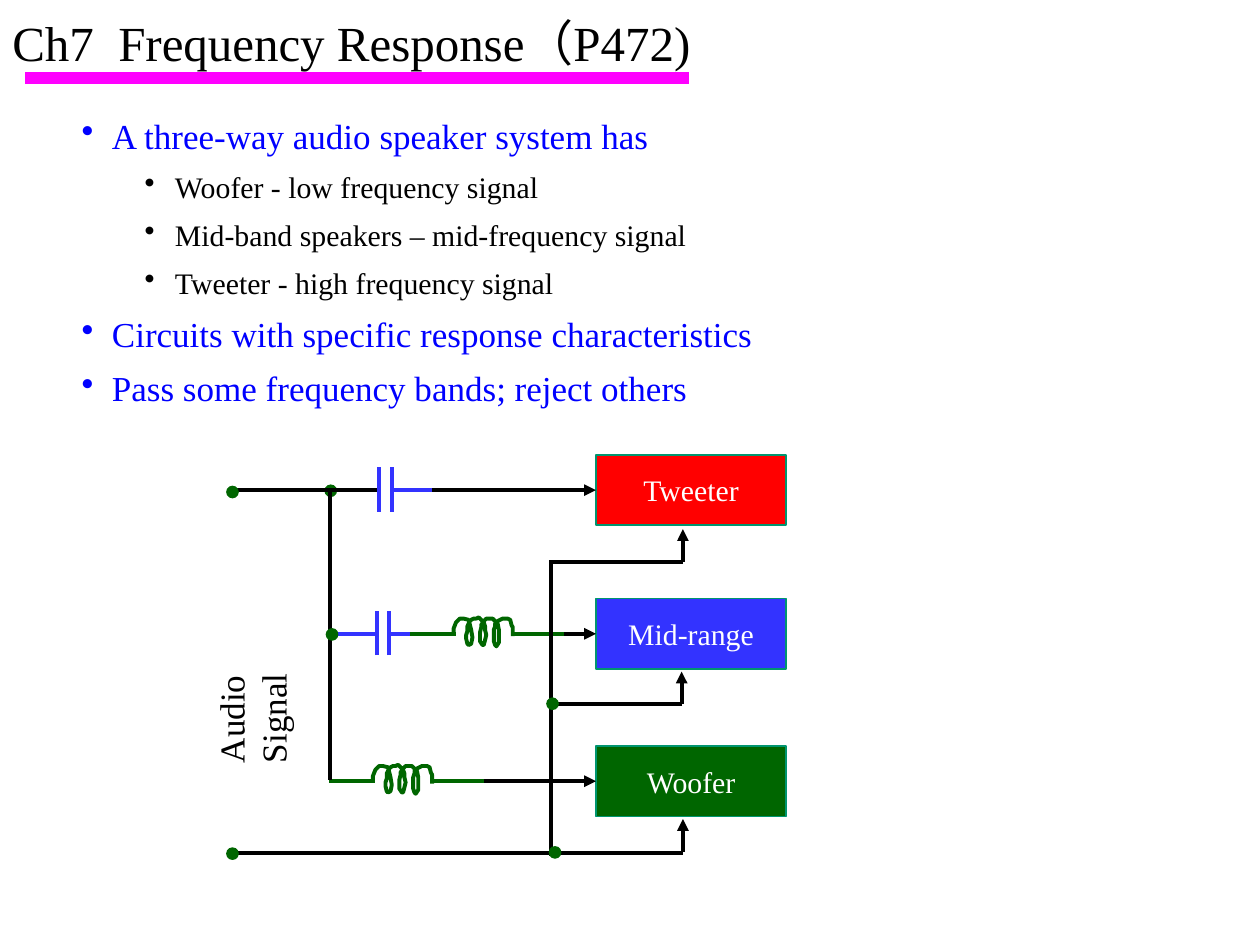
from typing import NamedTuple

from lxml.etree import SubElement
from pptx import Presentation
from pptx.dml.color import RGBColor
from pptx.enum.shapes import MSO_CONNECTOR, MSO_SHAPE
from pptx.enum.text import MSO_ANCHOR, PP_ALIGN
from pptx.oxml.ns import qn
from pptx.util import Emu, Pt

PX = 9144  # 100 px to the inch
FONT = "Times New Roman"
BLACK = RGBColor(0x00, 0x00, 0x00)
WHITE = RGBColor(0xFF, 0xFF, 0xFF)
MAGENTA = RGBColor(0xFF, 0x00, 0xFF)
TEXT_BLUE = RGBColor(0x00, 0x00, 0xFF)
BLUE = RGBColor(0x33, 0x33, 0xFF)
RED = RGBColor(0xFF, 0x00, 0x00)
GREEN = RGBColor(0x00, 0x66, 0x00)
TEAL = RGBColor(0x00, 0x95, 0x6F)

SPEAKER_LEFT, SPEAKER_WIDTH, SPEAKER_HEIGHT = 473, 151, 56
WIRE_WIDTH = 2.25
DOT = 9


class Bullet(NamedTuple):
    text: str
    level: int = 0


class Speaker(NamedTuple):
    name: str
    color: RGBColor
    row: int
    arrow_start: int


class Wire(NamedTuple):
    x1: int
    y1: int
    x2: int
    y2: int
    arrow: bool = False


BULLETS = [
    Bullet("A three-way audio speaker system has"),
    Bullet("Woofer - low frequency signal", 1),
    Bullet("Mid-band speakers – mid-frequency signal", 1),
    Bullet("Tweeter - high frequency signal", 1),
    Bullet("Circuits with specific response characteristics"),
    Bullet("Pass some frequency bands; reject others"),
]
TWEETER = Speaker("Tweeter", RED, 389, 343)
MID_RANGE = Speaker("Mid-range", BLUE, 503, 428)
WOOFER = Speaker("Woofer", GREEN, 620, 343)

WIRES = [
    Wire(262, 390, 262, 619),
    Wire(185, 389, 299, 389),
    Wire(437, 679, 437, 446),
    Wire(436, 446, 542, 446),
    Wire(542, 446, 542, 420, arrow=True),
    Wire(436, 559, 541, 559),
    Wire(541, 559, 541, 533, arrow=True),
    Wire(185, 677, 542, 677),
    Wire(542, 676, 542, 650, arrow=True),
]
DOTS = [(259, 499), (180, 386), (180, 673), (434, 554), (436, 672)]

# Coil outline, relative to its left end
COIL = [
    (0, 0), (0, -4), (2, -9), (5, -12), (8, -12), (12, -11), (13, -7), (14, -3),
    (15, 3), (14, 8), (12, 9), (11, 8), (10, 4), (10, 1), (11, -2), (11, -6),
    (12, -8), (13, -10), (14, -11), (16, -12), (18, -12), (20, -13), (22, -11),
    (24, -9), (25, -6), (25, -3), (26, 1), (25, 5), (24, 9), (23, 9), (21, 6),
    (21, 2), (21, -1), (22, -5), (22, -7), (24, -10), (26, -12), (28, -12),
    (31, -12), (33, -10), (35, -8), (36, -3), (36, 2), (36, 7), (34, 10),
    (33, 9), (32, 6), (32, 1), (32, -3), (33, -6), (33, -8), (35, -10),
    (37, -11), (39, -12), (42, -12), (43, -12), (45, -11), (46, -7), (47, -5),
    (47, -2), (47, 2),
]


def px(*lengths: int) -> list[Emu]:
    return [Emu(length * PX) for length in lengths]


def write_text(paragraph, text: str, *, size: float, color: RGBColor = BLACK,
               align: PP_ALIGN = PP_ALIGN.LEFT) -> None:
    paragraph.alignment = align
    run = paragraph.add_run()
    run.text = text
    run.font.name = FONT
    run.font.size = Pt(size)
    run.font.color.rgb = color


def add_text_frame(slide, x: int, y: int, width: int, height: int,
                   *, wrap: bool = True, rotation: int = 0):
    box = slide.shapes.add_textbox(*px(x, y, width, height))
    box.rotation = rotation
    box.text_frame.word_wrap = wrap
    return box.text_frame


def add_title(slide) -> None:
    frame = add_text_frame(slide, 0, 0, 591, 67)
    frame.vertical_anchor = MSO_ANCHOR.MIDDLE
    paragraph = frame.paragraphs[0]
    tabs = SubElement(paragraph._p.get_or_add_pPr(), qn("a:tabLst"))
    SubElement(tabs, qn("a:tab"), pos=str(84 * PX), algn="l")
    write_text(paragraph, "Ch7\tFrequency Response（P472)", size=28)
    add_line(slide, Wire(20, 62, 547, 62), MAGENTA, width=7)


def add_bullets(slide, bullets: list[Bullet]) -> None:
    frame = add_text_frame(slide, 55, 86, 618, 253)
    for index, bullet in enumerate(bullets):
        paragraph = frame.add_paragraph() if index else frame.paragraphs[0]
        color, size = (BLACK, 17) if bullet.level else (TEXT_BLUE, 20)
        paragraph.level = bullet.level
        paragraph.space_after = Pt(7)
        properties = paragraph._p.get_or_add_pPr()
        properties.set("marL", str((24 + 50 * bullet.level) * PX))
        properties.set("indent", str(-24 * PX))
        bullet_color = SubElement(properties, qn("a:buClr"))
        SubElement(bullet_color, qn("a:srgbClr"), val=str(color))
        SubElement(properties, qn("a:buChar"), char="•")
        write_text(paragraph, bullet.text, size=size, color=color)


def add_line(slide, wire: Wire, color: RGBColor = BLACK, width: float = WIRE_WIDTH):
    line = slide.shapes.add_connector(
        MSO_CONNECTOR.STRAIGHT, *px(wire.x1, wire.y1, wire.x2, wire.y2))
    line.line.color.rgb = color
    line.line.width = Pt(width)
    if wire.arrow:
        SubElement(line.line._get_or_add_ln(), qn("a:tailEnd"), type="triangle")
    SubElement(line._element.spPr, qn("a:effectLst"))
    return line


def add_solid(slide, preset: MSO_SHAPE, x: int, y: int, width: int, height: int,
              fill: RGBColor, outline: RGBColor, outline_width: float):
    solid = slide.shapes.add_shape(preset, *px(x, y, width, height))
    solid.shadow.inherit = False
    solid.fill.solid()
    solid.fill.fore_color.rgb = fill
    solid.line.color.rgb = outline
    solid.line.width = Pt(outline_width)
    return solid


def add_dot(slide, x: int, y: int) -> None:
    add_solid(slide, MSO_SHAPE.OVAL, x, y, DOT, DOT, GREEN, GREEN, 0.75)


def add_speaker(slide, speaker: Speaker) -> None:
    """Draw the labelled box and the arrow that feeds its left side."""
    box = add_solid(slide, MSO_SHAPE.RECTANGLE, SPEAKER_LEFT,
                    speaker.row - SPEAKER_HEIGHT // 2, SPEAKER_WIDTH,
                    SPEAKER_HEIGHT, speaker.color, TEAL, 1)
    box.text_frame.vertical_anchor = MSO_ANCHOR.MIDDLE
    write_text(box.text_frame.paragraphs[0], speaker.name, size=17, color=WHITE,
               align=PP_ALIGN.CENTER)
    feed = add_line(slide, Wire(speaker.arrow_start, speaker.row,
                                SPEAKER_LEFT, speaker.row, arrow=True))
    feed.end_connect(box, 1)


def add_capacitor(slide, x: int, y: int) -> None:
    for plate in (x, x + 10):
        add_line(slide, Wire(plate, y + 17, plate, y - 18), BLUE)
    for start, end in ((x - 37, x), (x + 11, x + 51)):
        add_line(slide, Wire(start, y, end, y), BLUE)


def add_inductor(slide, x: int, y: int) -> None:
    for start, end in ((x - 35, x + 2), (x + 48, x + 88)):
        add_line(slide, Wire(start, y, end, y), GREEN)
    points = [(x + dx, y + dy) for dx, dy in COIL]
    builder = slide.shapes.build_freeform(*points[0], scale=PX)
    builder.add_line_segments(points[1:], close=False)
    coil = builder.convert_to_shape()
    coil.shadow.inherit = False
    coil.fill.background()
    coil.line.color.rgb = GREEN
    coil.line.width = Pt(WIRE_WIDTH)


def add_circuit(slide) -> None:
    add_capacitor(slide, 301, TWEETER.row)
    add_dot(slide, 258, 385)
    for speaker in (TWEETER, MID_RANGE, WOOFER):
        add_speaker(slide, speaker)
    add_capacitor(slide, 299, MID_RANGE.row)
    add_inductor(slide, 360, MID_RANGE.row)
    add_inductor(slide, 296, WOOFER.row)
    for wire in WIRES:
        add_line(slide, wire)
    for x, y in DOTS:
        add_dot(slide, x, y)
    label = add_text_frame(slide, 100, 510, 167, 44, wrap=False, rotation=270)
    write_text(label.paragraphs[0], "Audio Signal", size=20)


def main() -> None:
    presentation = Presentation()
    presentation.slide_width, presentation.slide_height = px(1000, 750)
    slide = presentation.slides.add_slide(presentation.slide_layouts[6])
    add_title(slide)
    add_bullets(slide, BULLETS)
    add_circuit(slide)
    presentation.save("out.pptx")


if __name__ == "__main__":
    main()
